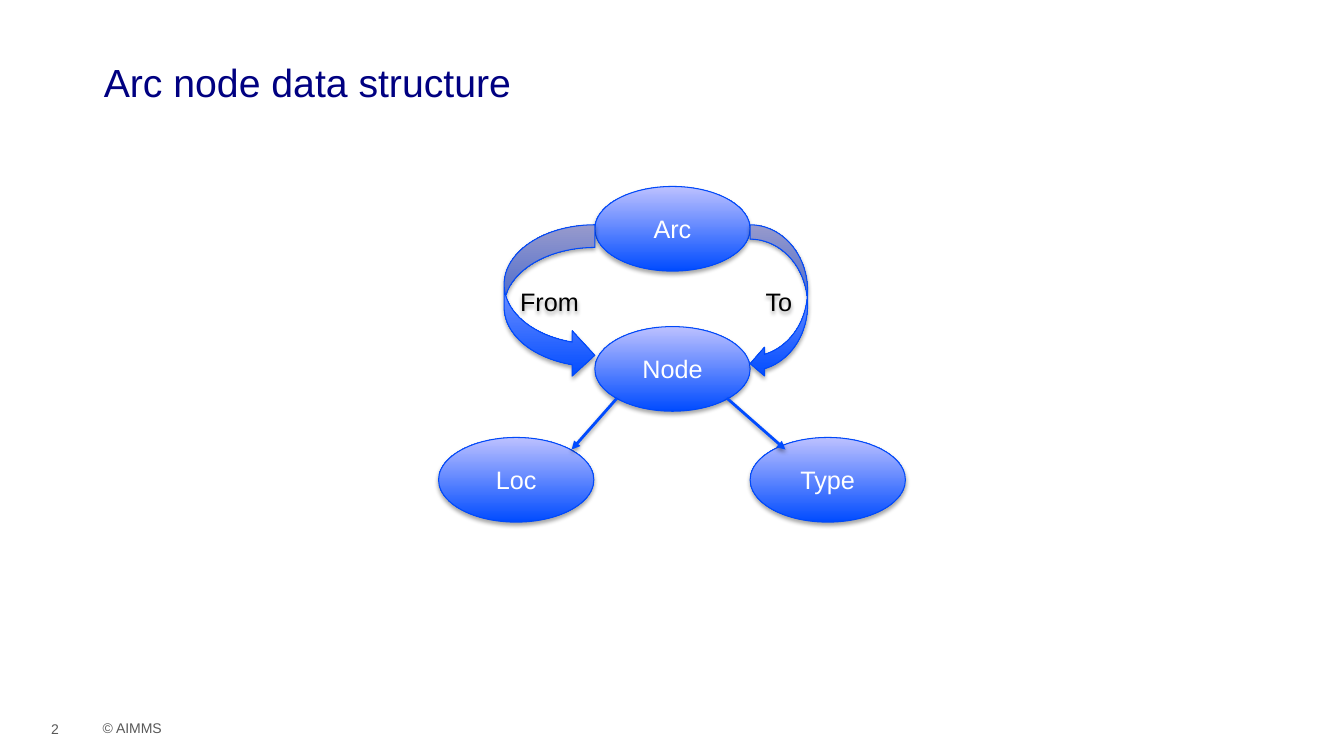
from lxml import etree
from pptx import Presentation
from pptx.dml.color import RGBColor
from pptx.enum.shapes import MSO_CONNECTOR, MSO_SHAPE
from pptx.enum.text import MSO_ANCHOR, MSO_AUTO_SIZE, PP_ALIGN
from pptx.oxml import parse_xml
from pptx.oxml.ns import nsdecls, qn
from pptx.util import Inches, Pt

FONT = "Arial"
BLUE, PALE, OUTLINE = "004BFF", "BDC1FF", "0049F9"
NAVY, GREY, WHITE, BLACK = "000081", "585858", "FFFFFF", "000000"
NODE_W, NODE_H = 1.54, 0.84
NODES = [("Type", 7.44, 4.34), ("Loc", 4.35, 4.34),
         ("Node", 5.9, 3.24), ("Arc", 5.9, 1.85)]


def rgb(color):
    return RGBColor.from_string(color)


def write(tf, text, size, color, align=PP_ALIGN.LEFT, anchor=MSO_ANCHOR.TOP):
    tf.vertical_anchor = anchor
    p = tf.paragraphs[0]
    p.alignment = align
    r = p.add_run()
    r.text = text
    r.font.name, r.font.size = FONT, Pt(size)
    r.font.color.rgb = rgb(color)


def add_shadow(s, alpha, distance):
    """Give a shape or connector a soft shadow straight below it."""
    s._element.spPr.append(parse_xml(
        f'<a:effectLst {nsdecls("a")}>'
        f'<a:outerShdw blurRad="{Pt(3.1)}" dist="{Pt(distance)}" dir="5400000" rotWithShape="0">'
        f'<a:srgbClr val="{BLACK}"><a:alpha val="{alpha * 1000}"/></a:srgbClr>'
        '</a:outerShdw></a:effectLst>'))


def add_glossy(slide, kind, text, color, x, y, w, h):
    """Add a labelled shape that fades from blue at the bottom to pale at the top."""
    s = slide.shapes.add_shape(kind, Inches(x), Inches(y), Inches(w), Inches(h))
    s.fill.gradient()
    s.fill.gradient_angle = 90
    for stop, stop_color, position in zip(s.fill.gradient_stops, (BLUE, PALE), (0, 1)):
        stop.color.rgb = rgb(stop_color)
        stop.position = position
    s.line.color.rgb = rgb(OUTLINE)
    s.line.width = Pt(0.75)
    add_shadow(s, 35, 1.8)
    write(s.text_frame, text, 18, color, PP_ALIGN.CENTER, MSO_ANCHOR.MIDDLE)


def add_arrow(slide, x1, y1, x2, y2):
    s = slide.shapes.add_connector(MSO_CONNECTOR.STRAIGHT, Inches(x1), Inches(y1),
                                   Inches(x2), Inches(y2))
    s.line.color.rgb = rgb(BLUE)
    s.line.width = Pt(2)
    etree.SubElement(s.line._get_or_add_ln(), qn("a:tailEnd"), type="triangle")
    add_shadow(s, 38, 1.6)


def add_footer(slide, text, x, y, w, h, anchor, wrap):
    tf = slide.shapes.add_textbox(Inches(x), Inches(y), Inches(w), Inches(h)).text_frame
    tf.word_wrap = wrap
    write(tf, text, 10, GREY, anchor=anchor)


def set_title(slide, text):
    s = slide.shapes.title
    s.left, s.top, s.width, s.height = (Inches(v) for v in (0.93, 0.48, 11.73, 0.49))
    tf = s.text_frame
    tf.auto_size = MSO_AUTO_SIZE.NONE
    tf.margin_top, tf.margin_bottom = Inches(0.1), 0
    write(tf, text, 28, NAVY)


def main():
    prs = Presentation()
    prs.slide_width, prs.slide_height = Inches(13.33), Inches(7.5)
    slide = prs.slides.add_slide(prs.slide_layouts[5])

    set_title(slide, "Arc node data structure")
    add_footer(slide, "© AIMMS", 0.92, 7.09, 0.8, 0.27, MSO_ANCHOR.TOP, False)
    add_footer(slide, "2", 0.41, 6.96, 0.51, 0.4, MSO_ANCHOR.BOTTOM, True)

    for name, x, y in NODES:
        add_glossy(slide, MSO_SHAPE.OVAL, name, WHITE, x, y, NODE_W, NODE_H)
    add_glossy(slide, MSO_SHAPE.CURVED_RIGHT_ARROW, "From", BLACK, 5, 2.23, 0.9, 1.52)
    add_glossy(slide, MSO_SHAPE.CURVED_LEFT_ARROW, "To", BLACK, 7.44, 2.23, 0.57, 1.52)
    add_arrow(slide, 6.12, 3.95, 5.67, 4.46)
    add_arrow(slide, 7.21, 3.95, 7.79, 4.46)

    prs.save("out.pptx")


if __name__ == "__main__":
    main()
